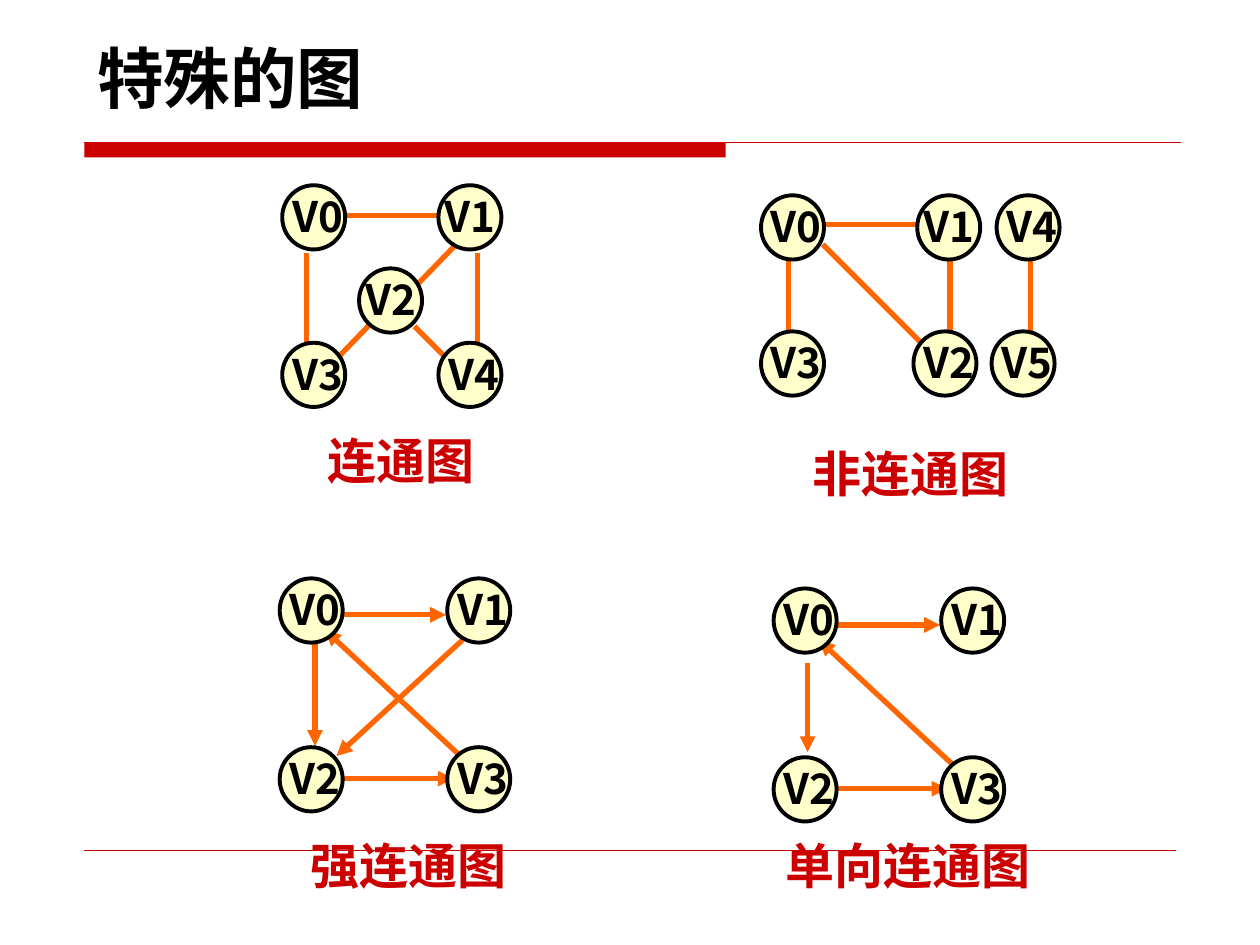
from dataclasses import dataclass

from lxml import etree
from pptx import Presentation
from pptx import util as u
from pptx.dml.color import RGBColor
from pptx.enum import shapes, text
from pptx.oxml import ns

COLUMNS, ROWS = 100, 75
SLIDE_WIDTH, SLIDE_HEIGHT = u.Inches(10), u.Inches(7.5)
NODE_WIDTH, NODE_HEIGHT = 5, 5.1


@dataclass(frozen=True)
class Theme:
    """Colours, fonts and type sizes of the slide."""
    ink: str = "000000"
    accent: str = "CC0000"
    edge: str = "FF6600"
    node: str = "FFFFCC"
    heading_font: str = "DejaVu Sans"
    label_font: str = "Noto Sans CJK SC"
    title_size: int = 38
    caption_size: int = 28
    label_size: int = 24


@dataclass(frozen=True)
class Graph:
    """A graph whose nodes and edges are grid offsets from its origin."""
    origin: tuple
    nodes: dict
    edges: tuple
    caption: str
    caption_box: tuple
    directed: bool = False
    nudged: tuple = ()


THEME = Theme()
SQUARE = {"V0": (0, 0), "V1": (13.3, 0), "V2": (0, 13.4), "V3": (13.3, 13.4)}
SHARED_ARROWS = (
    (5, 15.9, 13.8, 15.9),
    (5, 2.9, 13.2, 2.9),
    (15.3, 15, 3.6, 4.1),
)
GRAPHS = (
    Graph(
        (22.4, 14.7),
        {"V0": (0, 0), "V4": (12.4, 12.5), "V3": (0, 12.5), "V1": (12.4, 0), "V2": (6.1, 6.6)},
        ((1.9, 5.4, 1.9, 12.6), (4.9, 2.4, 13.1, 2.4), (15.5, 5.4, 15.5, 12.6),
         (7.2, 10.8, 4.3, 13.8), (13.7, 4.8, 10.8, 7.8), (10.5, 11.2, 13.1, 13.8)),
        "连通图", (22.2, 33.7, 19.3, 5.7), nudged=("V1", "V2"),
    ),
    Graph(
        (60.4, 15.5),
        {"V0": (0, 0), "V2": (12.1, 10.8), "V3": (0, 10.8), "V1": (12.4, 0),
         "V5": (18.3, 10.8), "V4": (18.7, 0)},
        ((4.9, 3.9, 13.1, 12.1), (2.2, 4.9, 2.2, 11.3), (5, 2.3, 12.8, 2.3),
         (15, 4.9, 15, 11.3), (21.4, 4.5, 21.4, 10.9)),
        "非连通图", (62.6, 34.7, 19.3, 5.7), nudged=("V1",),
    ),
    Graph(
        (22.2, 45.9), SQUARE,
        SHARED_ARROWS + ((2.8, 4.9, 2.8, 13.3), (14.5, 4.9, 4.5, 14.1)),
        "强连通图", (22.8, 65.8, 19.3, 5.7), directed=True,
    ),
    Graph(
        (61.4, 46.7), SQUARE,
        SHARED_ARROWS + ((2.7, 5.9, 2.7, 13),),
        "单向连通图", (60.8, 65.8, 22.5, 5.7), directed=True,
    ),
)


def grid(*lengths):
    """Turn alternating columns and rows into slide lengths."""
    units = (SLIDE_WIDTH / COLUMNS, SLIDE_HEIGHT / ROWS)
    return [u.Emu(round(length * units[i % 2])) for i, length in enumerate(lengths)]


def write(frame, wording, font_name, size, color, align=text.PP_ALIGN.LEFT):
    """Write one bold run into a text frame."""
    paragraph = frame.paragraphs[0]
    paragraph.alignment = align
    run = paragraph.add_run()
    run.text = wording
    run.font.name = font_name
    run.font.size = u.Pt(size)
    run.font.bold = True
    run.font.color.rgb = RGBColor.from_string(color)
    east_asian = etree.SubElement(run.font._element, ns.qn("a:ea"))
    east_asian.set("typeface", font_name)


def add_title(slide, wording):
    """Place and fill the title placeholder."""
    title = slide.shapes.title
    title.left, title.top, title.width, title.height = grid(6.7, 1.2, 65.6, 8.6)
    title.text_frame.vertical_anchor = text.MSO_ANCHOR.BOTTOM
    write(title.text_frame, wording, THEME.heading_font, THEME.title_size, THEME.ink)


def add_line(slide, ends, color, weight, arrow=False):
    """Draw a straight line, with an arrowhead at its end if asked."""
    line = slide.shapes.add_connector(shapes.MSO_CONNECTOR.STRAIGHT, *grid(*ends))
    line.line.color.rgb = RGBColor.from_string(color)
    line.line.width = u.Pt(weight)
    if arrow:
        etree.SubElement(line.line._get_or_add_ln(), ns.qn("a:tailEnd"), type="triangle")
    etree.SubElement(line._element.spPr, ns.qn("a:effectLst"))


def add_filled(slide, kind, box, fill, outline=None):
    """Draw a flat preset shape with an optional black-weight outline."""
    shape = slide.shapes.add_shape(kind, *grid(*box))
    shape.shadow.inherit = False
    shape.fill.solid()
    shape.fill.fore_color.rgb = RGBColor.from_string(fill)
    if outline:
        shape.line.color.rgb = RGBColor.from_string(outline)
        shape.line.width = u.Pt(2.25)
    else:
        shape.line.fill.background()


def add_text(slide, box, wording, font_name, size, color, align=text.PP_ALIGN.LEFT, wrap=True):
    """Add a one-line text box."""
    frame = slide.shapes.add_textbox(*grid(*box)).text_frame
    frame.word_wrap = wrap
    write(frame, wording, font_name, size, color, align)


def add_node(slide, name, left, top, nudge):
    """Draw a vertex circle and its label."""
    add_filled(slide, shapes.MSO_SHAPE.OVAL, (left, top, NODE_WIDTH, NODE_HEIGHT),
               THEME.node, THEME.ink)
    add_text(slide, (left - 0.2 - nudge, top - 0.05, 7.1, 5), name,
             THEME.label_font, THEME.label_size, THEME.ink)


def add_graph(slide, graph):
    """Draw the edges, then the nodes, then the caption of a graph."""
    left, top = graph.origin
    for x1, y1, x2, y2 in graph.edges:
        add_line(slide, (left + x1, top + y1, left + x2, top + y2), THEME.edge, 3, graph.directed)
    for name, (column, row) in graph.nodes.items():
        nudge = 0.3 if name in graph.nudged else 0
        add_node(slide, name, left + column, top + row, nudge)
    add_text(slide, graph.caption_box, graph.caption, THEME.heading_font,
             THEME.caption_size, THEME.accent, text.PP_ALIGN.CENTER)


def main():
    """Build and save the slide."""
    deck = Presentation()
    deck.slide_width, deck.slide_height = SLIDE_WIDTH, SLIDE_HEIGHT
    slide = deck.slides.add_slide(deck.slide_layouts[5])
    add_title(slide, "特殊的图")
    add_filled(slide, shapes.MSO_SHAPE.RECTANGLE, (6.7, 11.3, 50.9, 1.2), THEME.accent)
    add_line(slide, (6.7, 11.3, 93.7, 11.3), THEME.accent, 0.75)
    add_line(slide, (6.7, 67.5, 93.3, 67.5), THEME.accent, 0.25)
    for graph in GRAPHS:
        add_graph(slide, graph)
    deck.save("out.pptx")


if __name__ == "__main__":
    main()
